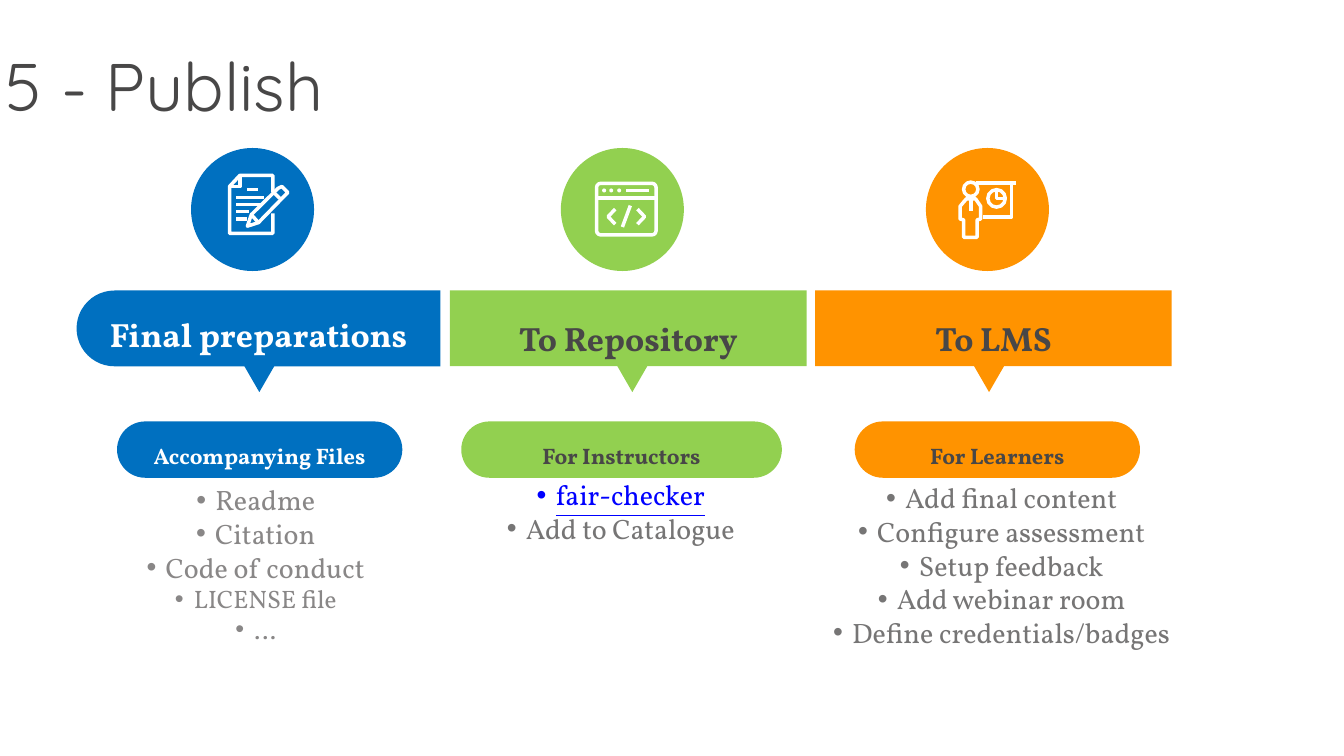
import pptx
import pptx.util
import pptx.dml.color
import pptx.enum.shapes
import pptx.enum.text
import pptx.oxml.ns
from lxml import etree

Cm = pptx.util.Cm
Pt = pptx.util.Pt
SHAPE = pptx.enum.shapes.MSO_SHAPE
ANCHOR = pptx.enum.text.MSO_ANCHOR
ALIGN = pptx.enum.text.PP_ALIGN
qn = pptx.oxml.ns.qn

COLORS = {
    "blue": "0070C0", "green": "92D050", "orange": "FF9300", "white": "FFFFFF",
    "dark": "484747", "gray": "767575", "light_gray": "898787", "link": "0000FF",
}

DOCUMENT = {
    "lines": [
        [(.51, -.43), (.51, -.86), (-.32, -.86), (-.58, -.58), (-.58, .6), (.51, .6), (.51, .1)],
        [(-.32, -.86), (-.32, -.58), (-.58, -.58)],
        [(-.13, -.5), (.13, -.5)], [(-.41, -.3), (.3, -.3)], [(-.41, -.13), (.2, -.13)],
        [(-.41, .05), (-.08, .05)], [(-.41, .24), (-.15, .24)],
        [(-.13, .42), (-.03, .13), (.64, -.53), (.74, -.58), (.89, -.43), (.15, .33), (-.13, .42)],
        [(.53, -.43), (.69, -.28)], [(-.03, .13), (.15, .33)],
    ],
}
BROWSER = {
    "frames": [(-.65, -.66, 1.5, 1.3)],
    "dots": [(x, -.48, .05) for x in (-.46, -.28, -.08)],
    "lines": [
        [(-.65, -.29), (.85, -.29)], [(.1, -.48), (.66, -.48)],
        [(.38, -.01), (.56, .18), (.38, .37)], [(-.18, -.01), (-.36, .18), (-.18, .37)],
        [(.2, -.1), (0, .44)],
    ],
}
PRESENTER = {
    "rings": [(-.42, -.51, .18), (.23, -.28, .22)],
    "lines": [
        [(-.53, -.27), (-.69, -.08), (-.69, .24), (-.6, .26), (-.6, .7), (-.26, .7),
         (-.26, .26), (-.17, .24), (-.17, -.08), (-.3, -.27), (-.53, -.27)],
        [(-.42, -.27), (-.42, .03)], [(-.3, -.67), (.71, -.67)],
        [(.61, -.67), (.61, .19), (-.1, .19)],
        [(.23, -.5), (.23, -.28), (.45, -.28)],
    ],
}

STEPS = [
    dict(box=(1.93, 3.73, 9.17), color="blue", ink="white", icon=DOCUMENT, rounded=True,
         heading="Final preparations", heading_top=3.5, tip=.02,
         audience="Accompanying Files", pill=(.03, 7.19), holder=2,
         tasks=["Readme", "Citation", "Code of conduct", "LICENSE file", "…"],
         list_box=(-.07, 8.31, 6.5, 4.37), task_ink="light_gray", small={3, 4}, linked=set()),
    dict(box=(11.34, 3.73, 8.99), color="green", ink="dark", icon=BROWSER, rounded=False,
         heading="To Repository", heading_top=3.61, tip=.1,
         audience="For Instructors", pill=(-.17, 8.08), holder=4,
         tasks=["fair-checker", "Add to Catalogue"],
         list_box=(-.19, 8.18, 7.16, 1.96), task_ink="gray", small=set(), linked={0}),
    dict(box=(20.54, 3.73, 8.99), color="orange", ink="dark", icon=PRESENTER, rounded=False,
         heading="To LMS", heading_top=3.61, tip=-.11,
         audience="For Learners", pill=(.1, 7.19), holder=3,
         tasks=["Add final content", "Configure assessment", "Setup feedback",
                "Add webinar room", "Define credentials/badges"],
         list_box=(.21, 8.26, 9.8, 4.52), task_ink="gray", small=set(), linked=set()),
]


def rgb(name):
    """Return the named colour."""
    return pptx.dml.color.RGBColor.from_string(COLORS[name])


def style_run(run, size, color, font="Vollkorn", bold=False):
    """Format one run."""
    run.font.name, run.font.size, run.font.bold = font, Pt(size), bold
    run.font.color.rgb = rgb(color)


def add_solid(slide, kind, left, top, width, height, color):
    """Add a filled shape without line or shadow, measured in centimetres."""
    solid = slide.shapes.add_shape(kind, Cm(left), Cm(top), Cm(width), Cm(height))
    solid.shadow.inherit = False
    solid.fill.solid()
    solid.fill.fore_color.rgb = rgb(color)
    solid.line.fill.background()
    return solid


def stroke(part):
    """Draw a shape as a white outline only."""
    part.shadow.inherit = False
    part.fill.background()
    part.line.color.rgb = rgb("white")
    part.line.width = Pt(2.5)


def add_icon(slide, icon, x, y):
    """Draw an icon around the given centre."""
    for left, top, width, height in icon.get("frames", []):
        frame = slide.shapes.add_shape(SHAPE.ROUNDED_RECTANGLE, Cm(x + left), Cm(y + top),
                                       Cm(width), Cm(height))
        frame.adjustments[0] = .08
        stroke(frame)
    for dx, dy, radius in icon.get("rings", []):
        stroke(slide.shapes.add_shape(SHAPE.OVAL, Cm(x + dx - radius), Cm(y + dy - radius),
                                      Cm(2 * radius), Cm(2 * radius)))
    for dx, dy, radius in icon.get("dots", []):
        add_solid(slide, SHAPE.OVAL, x + dx - radius, y + dy - radius,
                  2 * radius, 2 * radius, "white")
    for line in icon["lines"]:
        points = [(Cm(x + dx), Cm(y + dy)) for dx, dy in line]
        if len(points) == 2:
            segment = slide.shapes.add_connector(
                pptx.enum.shapes.MSO_CONNECTOR.STRAIGHT, *points[0], *points[1])
            segment.line.color.rgb = rgb("white")
            segment.line.width = Pt(2.5)
            etree.SubElement(segment._element.spPr, qn("a:effectLst"))
        else:
            outline = slide.shapes.build_freeform(*points[0])
            outline.add_line_segments(points[1:], close=line[0] == line[-1])
            stroke(outline.convert_to_shape())


def set_label(part, text, size, color):
    """Write a bold centred label into a shape or text box."""
    frame = part.text_frame
    frame.word_wrap = True
    frame.vertical_anchor = ANCHOR.MIDDLE
    frame.margin_top = Cm(.3)
    frame.text = text
    label = frame.paragraphs[0]
    label.alignment, label.line_spacing = ALIGN.CENTER, 1.2
    style_run(label.runs[0], size, color, bold=True)


def fill_tasks(holder, step, left, top, width, height):
    """Place and write the bulleted task list of a step."""
    holder.left, holder.top, holder.width, holder.height = map(Cm, (left, top, width, height))
    frame = holder.text_frame
    frame.text = "\n".join(step["tasks"])
    frame.auto_size = pptx.enum.text.MSO_AUTO_SIZE.NONE
    frame.vertical_anchor = ANCHOR.TOP
    for index, task in enumerate(frame.paragraphs):
        properties = task._p.get_or_add_pPr()
        properties.set("marL", str(Cm(.48)))
        properties.set("indent", str(-Cm(.48)))
        etree.SubElement(properties, qn("a:buFont"), typeface="Arial")
        etree.SubElement(properties, qn("a:buChar"), char="•")
        task.alignment, task.line_spacing = ALIGN.CENTER, 1.0
        task.space_before = task.space_after = Pt(0)
        linked = index in step["linked"]
        style_run(task.runs[0], 18 if index in step["small"] else 20,
                  "link" if linked else step["task_ink"])
        task.runs[0].font.underline = linked


def add_step(slide, step):
    """Build one column: icon disc, banner, pointer, pill and tasks."""
    left, top, width = step["box"]
    color, ink = step["color"], step["ink"]
    center = left + width / 2
    banner_top, banner_height = top + 3.59, 1.91
    if step["rounded"]:
        banner = add_solid(slide, SHAPE.ROUND_2_SAME_RECTANGLE, center - banner_height / 2,
                           banner_top + (banner_height - width) / 2, banner_height, width, color)
        banner.adjustments[0] = .5
        banner.rotation = 270
    else:
        add_solid(slide, SHAPE.RECTANGLE, left, banner_top, width, banner_height, color)
    pointer = add_solid(slide, SHAPE.ISOSCELES_TRIANGLE, center + step["tip"] - .6,
                        top + 5.11, 1.2, 1.04, color)
    pointer.rotation = 180
    heading = slide.shapes.add_textbox(Cm(left), Cm(top + step["heading_top"]),
                                       Cm(width), Cm(2))
    set_label(heading, step["heading"], 24, ink)
    shift, pill_width = step["pill"]
    pill = add_solid(slide, SHAPE.ROUNDED_RECTANGLE, center + shift - pill_width / 2,
                     top + 6.89, pill_width, 1.42, color)
    pill.adjustments[0] = .5
    set_label(pill, step["audience"], 16, ink)
    add_solid(slide, SHAPE.OVAL, center - 1.7, top, 3.1, 3.1, color)
    add_icon(slide, step["icon"], center - .15, top + 1.55)
    shift, drop, list_width, list_height = step["list_box"]
    fill_tasks(slide.placeholders[step["holder"]], step,
               center + shift - list_width / 2, top + drop, list_width, list_height)


def add_title(slide, text, left, top, width, height):
    """Place and write the slide title."""
    title = slide.shapes.title
    title.left, title.top, title.width, title.height = map(Cm, (left, top, width, height))
    frame = title.text_frame
    frame.text = text
    frame.vertical_anchor = ANCHOR.TOP
    frame.margin_left = frame.margin_right = frame.margin_top = frame.margin_bottom = Cm(.15)
    frame.paragraphs[0].alignment = ALIGN.LEFT
    style_run(frame.paragraphs[0].runs[0], 48, "dark", "Quicksand")


def main():
    """Build and save the publishing slide."""
    deck = pptx.Presentation()
    deck.slide_width, deck.slide_height = Cm(33.87), Cm(19.05)
    slide = deck.slides.add_slide(deck.slide_layouts.get_by_name("Comparison"))
    add_title(slide, "5 - Publish", 0, .97, 29.2, 3.68)
    for step in STEPS:
        add_step(slide, step)
    unused = slide.placeholders[1]._element
    unused.getparent().remove(unused)
    deck.save("out.pptx")


if __name__ == "__main__":
    main()
